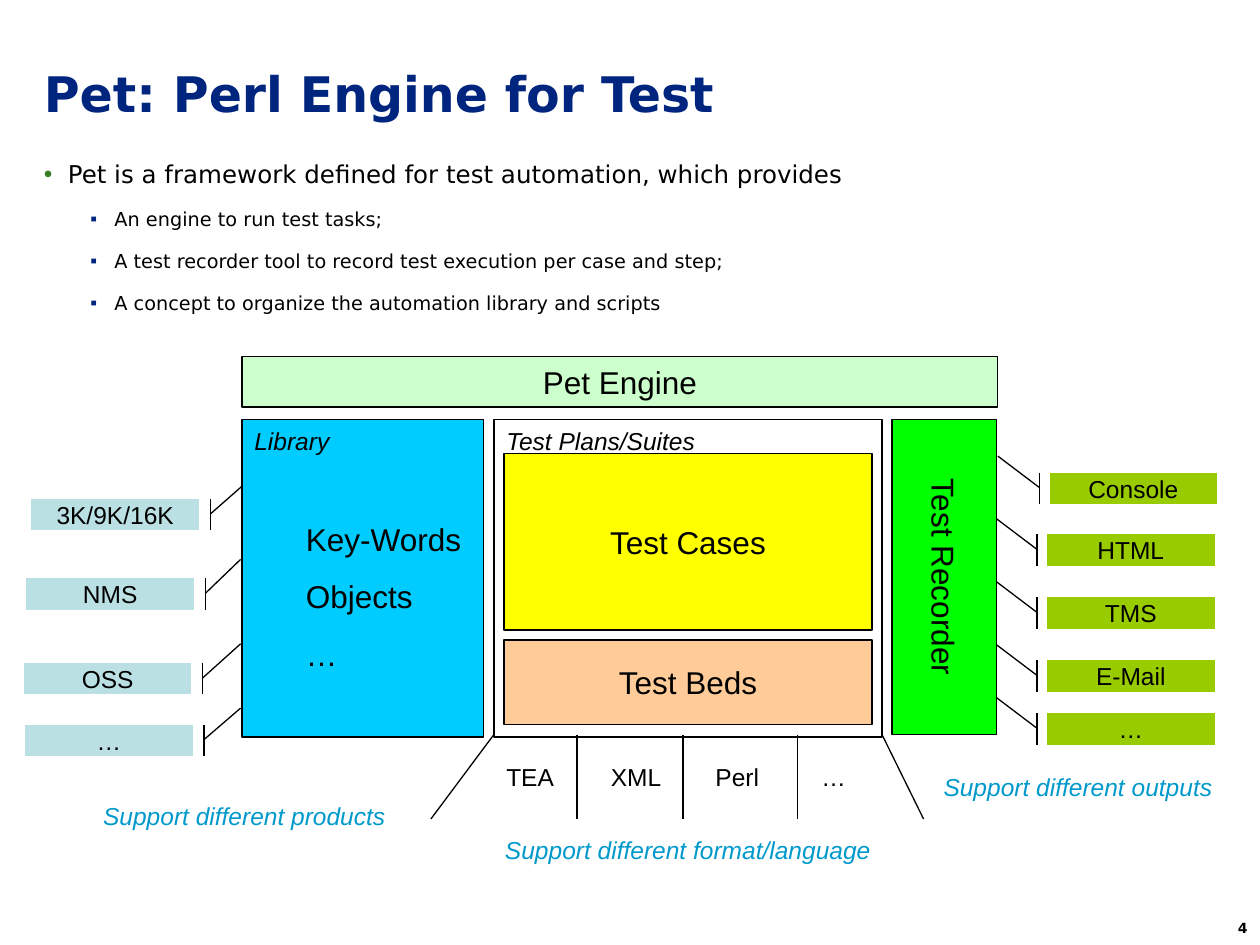
import pptx
import pptx.dml.color
import pptx.enum.shapes
import pptx.enum.text
import pptx.oxml
import pptx.oxml.ns
import pptx.util

Inches = pptx.util.Inches
Pt = pptx.util.Pt
SHAPE = pptx.enum.shapes.MSO_SHAPE
ALIGN = pptx.enum.text.PP_ALIGN
ANCHOR = pptx.enum.text.MSO_ANCHOR

BLACK, NAVY, GREEN, CAPTION_BLUE = "000000", "00257E", "387E29", "0099CC"
PRODUCT_FILL, OUTPUT_FILL = "BBE0E3", "99CC00"


def color(value):
    """Turn a hex string into a colour."""
    return pptx.dml.color.RGBColor.from_string(value)


def add_run(paragraph, text, size, ink=BLACK, face="Arial", bold=False, italic=False):
    """Append a formatted run to a paragraph."""
    run = paragraph.add_run()
    run.text = text
    font = run.font
    font.size, font.name, font.bold, font.italic = Pt(size), face, bold, italic
    font.color.rgb = color(ink)


def add_label(slide, box, text, size, align=ALIGN.LEFT, anchor=ANCHOR.TOP, **style):
    """Add a one-line text box."""
    frame = slide.shapes.add_textbox(*map(Inches, box)).text_frame
    frame.word_wrap, frame.vertical_anchor = True, anchor
    frame.paragraphs[0].alignment = align
    add_run(frame.paragraphs[0], text, size, **style)


def add_bullet(paragraph, level, char, ink, text, size):
    """Fill a paragraph as a bulleted line."""
    paragraph.level = level
    paragraph.line_spacing, paragraph.space_after = Pt(20), Pt(4)
    properties = paragraph._p.get_or_add_pPr()
    properties.set("marL", str(Inches(0.56 if level else 0.19)))
    properties.set("indent", str(Inches(-0.19)))
    namespace = pptx.oxml.ns.nsdecls("a")
    for element in (f'<a:buClr {namespace}><a:srgbClr val="{ink}"/></a:buClr>',
                    f'<a:buFont {namespace} typeface="Arial"/>',
                    f'<a:buChar {namespace} char="{char}"/>'):
        properties.append(pptx.oxml.parse_xml(element))
    add_run(paragraph, text, size, face="DejaVu Sans")


def add_block(slide, box, fill, text, size, align=ALIGN.CENTER, anchor=ANCHOR.MIDDLE,
              kind=SHAPE.RECTANGLE, italic=False):
    """Add an outlined shape with text and return it."""
    block = slide.shapes.add_shape(kind, *map(Inches, box))
    block.shadow.inherit = False
    if fill:
        block.fill.solid()
        block.fill.fore_color.rgb = color(fill)
    else:
        block.fill.background()
    block.line.color.rgb = color(BLACK)
    block.line.width = Pt(0.75)
    frame = block.text_frame
    frame.word_wrap, frame.vertical_anchor = True, anchor
    frame.paragraphs[0].alignment = align
    add_run(frame.paragraphs[0], text, size, italic=italic)
    return block


def add_callout(slide, left, top, fill, text, bar, tip):
    """Add a callout with an accent bar and a leader, both offset from its corner."""
    width, height = 1.33, 0.25
    callout = add_block(slide, (left, top, width, height), fill, text, 14,
                        kind=SHAPE.LINE_CALLOUT_1_ACCENT_BAR)
    for index, value in enumerate((0.12 / height, bar / width, tip[1] / height, tip[0] / width)):
        callout.adjustments[index] = value


def add_divider(slide, top_x, bottom_x):
    """Draw a line from the test plans down to the format row."""
    divider = slide.shapes.add_connector(
        pptx.enum.shapes.MSO_CONNECTOR.STRAIGHT,
        Inches(top_x), Inches(5.83), Inches(bottom_x), Inches(6.5))
    divider.line.color.rgb = color(BLACK)
    divider.line.width = Pt(0.75)
    effects = f'<a:effectLst {pptx.oxml.ns.nsdecls("a")}/>'
    divider._element.spPr.append(pptx.oxml.parse_xml(effects))


def add_heading(slide):
    """Add the title, the bulleted summary and the page number."""
    add_label(slide, (0.25, 0.42, 9.5, 0.64), "Pet: Perl Engine for Test", 28,
              anchor=ANCHOR.MIDDLE, ink=NAVY, face="DejaVu Sans", bold=True)
    summary = slide.shapes.add_textbox(*map(Inches, (0.25, 1.17, 9.5, 1.58))).text_frame
    summary.word_wrap = True
    add_bullet(summary.paragraphs[0], 0, "•", GREEN,
               "Pet is a framework defined for test automation, which provides", 14)
    for provision in ("An engine to run test tasks;",
                      "A test recorder tool to record test execution per case and step;",
                      "A concept to organize the automation library and scripts"):
        add_bullet(summary.add_paragraph(), 1, "▪", NAVY, provision, 11)
    add_label(slide, (9.35, 7.25, 0.65, 0.25), "4", 8, align=ALIGN.RIGHT,
              face="DejaVu Sans", bold=True)


def add_callouts(slide):
    """Add the products on the left and the outputs on the right."""
    for left, top, product, tip in ((0.25, 3.96, "3K/9K/16K", (1.67, -0.1)),
                                    (0.21, 4.59, "NMS", (1.7, -0.15)),
                                    (0.19, 5.26, "OSS", (1.72, -0.15)),
                                    (0.2, 5.75, "…", (1.71, -0.13))):
        add_callout(slide, left, top, PRODUCT_FILL, product, 1.42, tip)
    for left, top, output in ((8.33, 3.75, "Console"), (8.31, 4.24, "HTML"), (8.31, 4.74, "TMS"),
                              (8.31, 5.24, "E-Mail"), (8.31, 5.66, "…")):
        add_callout(slide, left, top, OUTPUT_FILL, output, -0.08, (-0.41, -0.13))


def add_formats(slide):
    """Add the row of formats and the three captions."""
    for top_x, bottom_x in ((3.92, 3.42), (4.58, 4.58), (5.42, 5.42), (6.33, 6.33), (7, 7.33)):
        add_divider(slide, top_x, bottom_x)
    for left, name in ((3.92, "TEA"), (4.75, "XML"), (5.58, "Perl"), (6.42, "…")):
        add_label(slide, (left, 6, 0.66, 0.34), name, 14)
    for left, top, width, subject in ((0.72, 6.31, 2.6, "products"),
                                      (3.91, 6.58, 3.3, "format/language"),
                                      (7.39, 6.08, 2.5, "outputs")):
        add_label(slide, (left, top, width, 0.34), f"Support different {subject}", 14,
                  ink=CAPTION_BLUE, italic=True)


def add_framework(slide):
    """Add the blocks of the test framework."""
    add_block(slide, (3.92, 3.33, 3.08, 2.52), None, "Test Plans/Suites", 14,
              align=ALIGN.LEFT, anchor=ANCHOR.TOP, italic=True)
    add_block(slide, (1.92, 2.83, 6, 0.4), "CCFFCC", "Pet Engine", 18)
    library = add_block(slide, (1.92, 3.33, 1.92, 2.52), "00CCFF", "Library", 14,
                        align=ALIGN.LEFT, anchor=ANCHOR.TOP, italic=True)
    for content, gap in (("Key-Words", 37), ("Objects", 11.2), ("…", 11.2)):
        paragraph = library.text_frame.add_paragraph()
        paragraph.alignment, paragraph.space_before = ALIGN.LEFT, Pt(gap)
        paragraph._p.get_or_add_pPr().set("marL", str(Inches(0.41)))
        add_run(paragraph, content, 18)
    add_block(slide, (4, 3.6, 2.92, 1.4), "FFFF00", "Test Cases", 18)
    add_block(slide, (4, 5.08, 2.92, 0.67), "FFCC99", "Test Beds", 18)
    recorder = add_block(slide, (7.08, 3.33, 0.83, 2.5), "00FF00", "Test Recorder", 18)
    recorder.text_frame._txBody.bodyPr.set("vert", "vert")


def main():
    """Build the slide and save it."""
    deck = pptx.Presentation()
    deck.slide_width, deck.slide_height = Inches(10), Inches(7.5)
    slide = deck.slides.add_slide(deck.slide_layouts[6])
    add_heading(slide)
    add_callouts(slide)
    add_formats(slide)
    add_framework(slide)
    deck.save("out.pptx")


if __name__ == "__main__":
    main()
